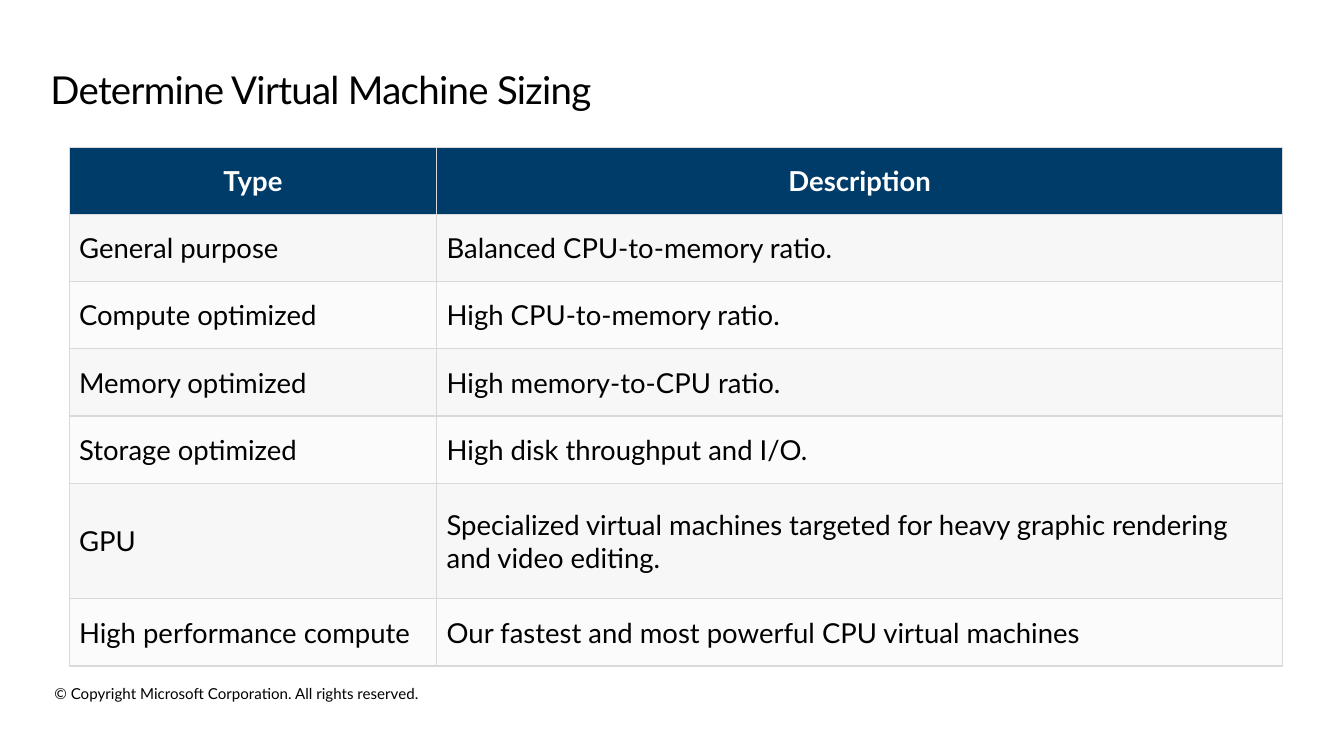
import pptx
import pptx.dml.color
import pptx.enum.text
import pptx.oxml
import pptx.oxml.ns
import pptx.util
from pptx.dml.color import RGBColor

Pt = pptx.util.Pt
ALIGN = pptx.enum.text.PP_ALIGN
ANCHOR = pptx.enum.text.MSO_ANCHOR

FONT = "Lato"
BLACK = RGBColor(0x00, 0x00, 0x00)
WHITE = RGBColor(0xFF, 0xFF, 0xFF)
NAVY = RGBColor(0x00, 0x3C, 0x6A)
BAND_FILLS = [RGBColor(0xF7, 0xF7, 0xF7), RGBColor(0xFB, 0xFB, 0xFB)]
BORDER = RGBColor(0xD9, 0xD9, 0xD9)

COLUMN_WIDTHS = [267.84, 616.32]
ROW_HEIGHT = 48.96
TALL_ROW_HEIGHT = 84.24
TALL_TYPE = "GPU"
HEADINGS = ("Type", "Description")
SIZES = [
    ("General purpose", "Balanced CPU-to-memory ratio."),
    ("Compute optimized", "High CPU-to-memory ratio."),
    ("Memory optimized", "High memory-to-CPU ratio."),
    ("Storage optimized", "High disk throughput and I/O."),
    ("GPU", "Specialized virtual machines targeted for heavy graphic "
            "rendering and video editing."),
    ("High performance compute",
     "Our fastest and most powerful CPU virtual machines"),
]


def add_span(para, text, size, color, bold=False):
    span = para.add_run()
    span.text = text
    span.font.name = FONT
    span.font.size = Pt(size)
    span.font.bold = bold
    span.font.color.rgb = color
    return span


def add_line(page, bounds, insets, text, size, wrap):
    box = page.shapes.add_textbox(*[Pt(value) for value in bounds])
    frame = box.text_frame
    frame.word_wrap = wrap
    (frame.margin_left, frame.margin_top,
     frame.margin_right, frame.margin_bottom) = [Pt(value) for value in insets]
    para = frame.paragraphs[0]
    para.line_spacing = 0.9
    return add_span(para, text, size, BLACK)


def add_title(page, bounds):
    span = add_line(page, bounds, (0, 7.2, 11.52, 7.2),
                    "Determine Virtual Machine Sizing", 28, True)
    span.font._element.set("spc", "-50")


def add_copyright(page, bounds):
    add_line(page, bounds, (14.4, 5, 14.4, 11.52),
             "© Copyright Microsoft Corporation. All rights reserved.", 11, False)


def set_borders(cell):
    properties = cell._tc.get_or_add_tcPr()
    # Borders come before the fill in the cell properties
    for position, side in enumerate(("lnL", "lnR", "lnT", "lnB")):
        properties.insert(position, pptx.oxml.parse_xml(
            f'<a:{side} {pptx.oxml.ns.nsdecls("a")} w="{Pt(1)}"><a:solidFill>'
            f'<a:srgbClr val="{BORDER}"/></a:solidFill></a:{side}>'))


def add_size_table(page, left, top):
    rows = [HEADINGS] + SIZES
    heights = [TALL_ROW_HEIGHT if row[0] == TALL_TYPE else ROW_HEIGHT
               for row in rows]
    table = page.shapes.add_table(
        len(rows), len(HEADINGS), Pt(left), Pt(top),
        Pt(sum(COLUMN_WIDTHS)), Pt(sum(heights))).table
    for column, width in zip(table.columns, COLUMN_WIDTHS):
        column.width = Pt(width)
    for index, (row, height) in enumerate(zip(rows, heights)):
        table.rows[index].height = Pt(height)
        heading = index == 0
        for column_index, text in enumerate(row):
            cell = table.cell(index, column_index)
            cell.vertical_anchor = ANCHOR.MIDDLE
            cell.fill.solid()
            cell.fill.fore_color.rgb = (
                NAVY if heading else BAND_FILLS[(index - 1) % 2])
            set_borders(cell)
            para = cell.text_frame.paragraphs[0]
            para.alignment = ALIGN.CENTER if heading else ALIGN.LEFT
            add_span(para, text, 20, WHITE if heading else BLACK, heading)


def main():
    deck = pptx.Presentation()
    deck.slide_width = Pt(979.2)
    deck.slide_height = Pt(550.8)
    page = deck.slides.add_slide(deck.slide_layouts[6])

    # Footer, title and table
    add_copyright(page, (25.2, 497.5, 298.8, 35.3))
    add_title(page, (36.7, 44.6, 907.9, 65.5))
    add_size_table(page, 50.4, 107.28)

    deck.save("out.pptx")


if __name__ == "__main__":
    main()
